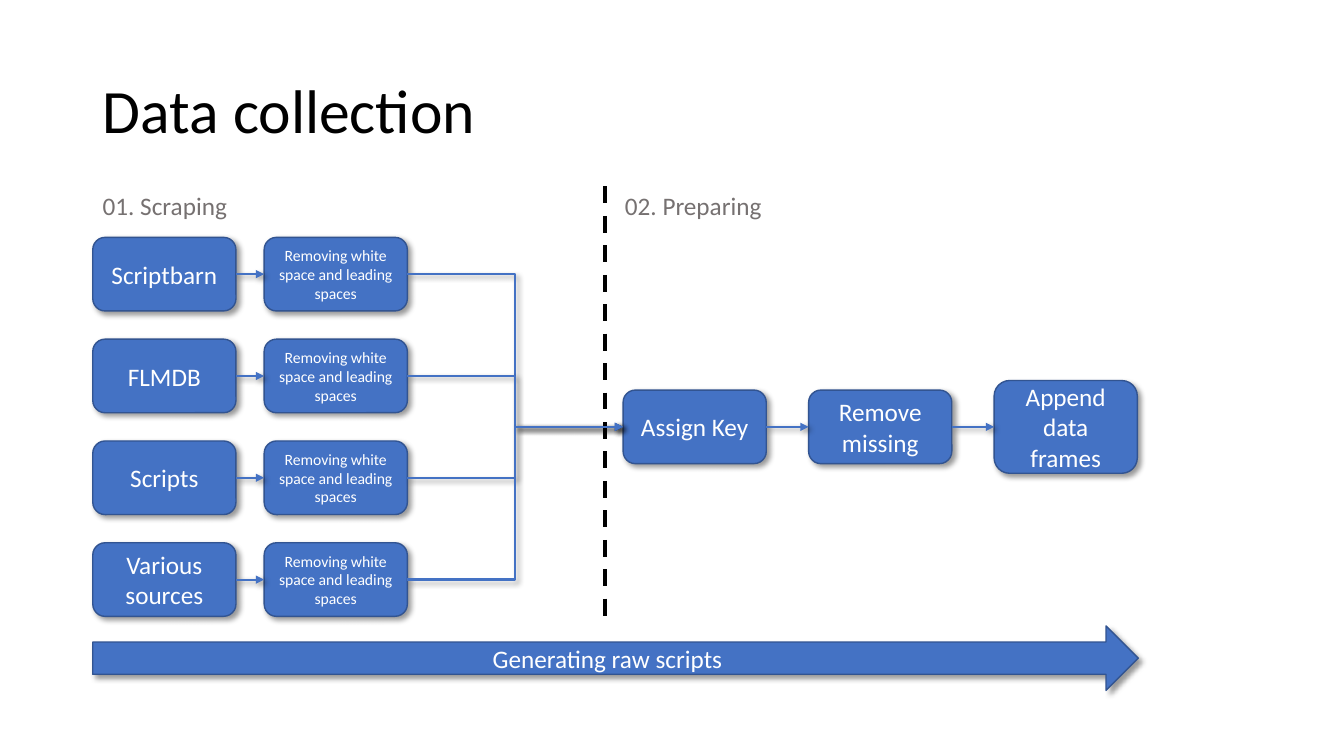
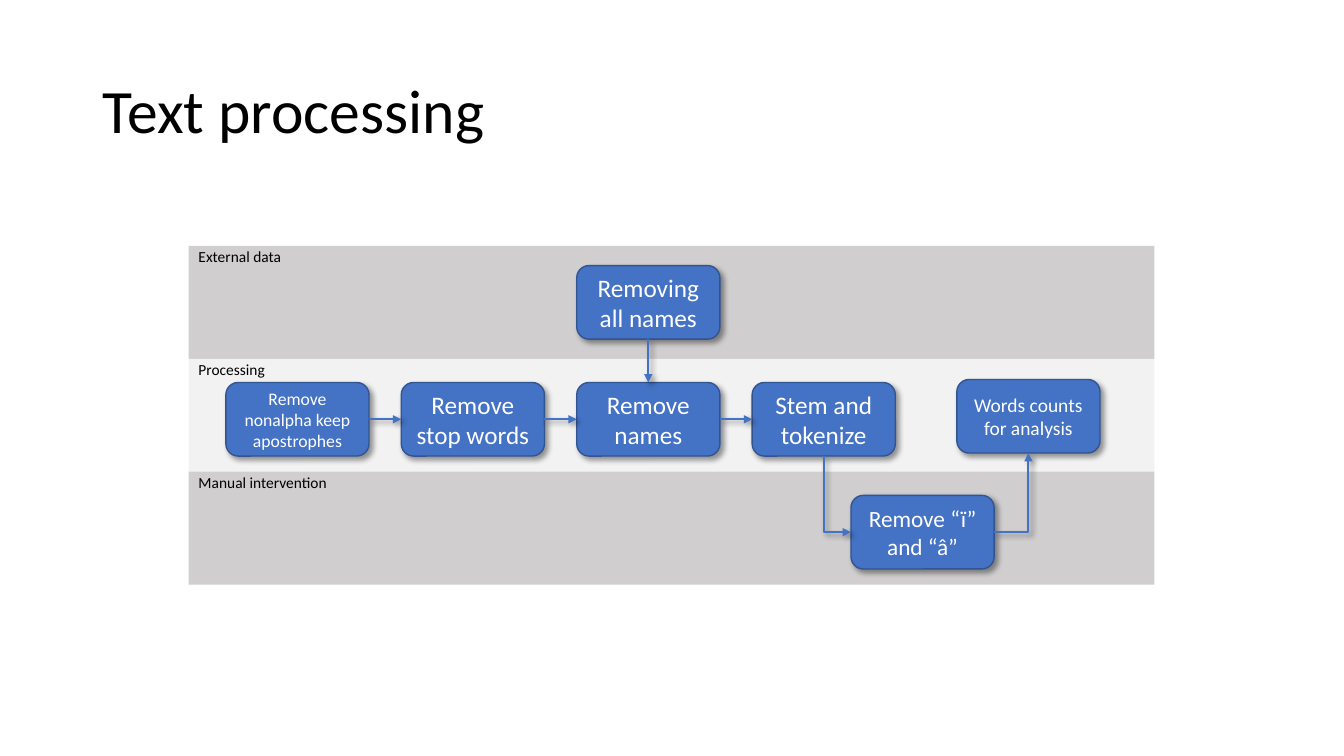
from lxml import etree
from pptx import Presentation, util as u
from pptx.dml.color import RGBColor
from pptx.enum import dml, shapes, text
from pptx.oxml.ns import qn

BLUE = RGBColor(0x44, 0x72, 0xC4)
EDGE = RGBColor(0x32, 0x54, 0x91)
BLACK = RGBColor(0, 0, 0)
WHITE = RGBColor(255, 255, 255)
GREY = RGBColor(0x76, 0x71, 0x71)
LANE_DARK = RGBColor(0xD0, 0xCE, 0xCE)
LANE_LIGHT = RGBColor(0xF2, 0xF2, 0xF2)
FONT = "Calibri"
LEFT, BOX_W, BOX_H = 0.92, 1.42, 0.73
TOP, LEFT_SIDE, BOTTOM, RIGHT_SIDE = range(4)
STRAIGHT = shapes.MSO_CONNECTOR.STRAIGHT
ELBOW = shapes.MSO_CONNECTOR.ELBOW


def effects(sp, shadow=True):
    """Give a shape the soft shadow, or an empty effect list."""
    spPr = sp._element.spPr
    for old in spPr.findall(qn("a:effectLst")):
        spPr.remove(old)
    lst = etree.SubElement(spPr, qn("a:effectLst"))
    if shadow:
        outer = etree.SubElement(lst, qn("a:outerShdw"), blurRad="50800", dist="38100",
                                 dir="2700000", algn="tl", rotWithShape="0")
        clr = etree.SubElement(outer, qn("a:prstClr"), val="black")
        etree.SubElement(clr, qn("a:alpha"), val="40000")


def write(sp, words, size, color, align=text.PP_ALIGN.LEFT):
    tf = sp.text_frame
    tf.word_wrap = True
    tf.text = words
    p = tf.paragraphs[0]
    p.alignment = align
    p.font.name, p.font.size, p.font.color.rgb = FONT, u.Pt(size), color
    return tf


def add_slide(prs, title):
    s = prs.slides.add_slide(prs.slide_layouts[5])
    sp = s.shapes.title
    sp.left, sp.top, sp.width, sp.height = map(u.Inches, (LEFT, 0.4, 11.5, 1.45))
    tf = write(sp, title, 44, BLACK)
    tf.vertical_anchor = text.MSO_ANCHOR.MIDDLE
    tf.paragraphs[0].line_spacing = 0.9
    return s


def block(s, kind, x, y, w, h, fill):
    sp = s.shapes.add_shape(kind, *map(u.Inches, (x, y, w, h)))
    sp.shadow.inherit = False
    sp.fill.solid()
    sp.fill.fore_color.rgb = fill
    sp.line.fill.background()
    return sp


def step(s, words, x, cy, size=18, w=BOX_W, h=BOX_H,
         kind=shapes.MSO_SHAPE.ROUNDED_RECTANGLE):
    """Blue process shape, centred vertically on cy."""
    sp = block(s, kind, x, cy - h / 2, w, h, BLUE)
    sp.line.color.rgb, sp.line.width = EDGE, u.Pt(1)
    effects(sp)
    tf = write(sp, words, size, WHITE, text.PP_ALIGN.CENTER)
    tf.vertical_anchor = text.MSO_ANCHOR.MIDDLE
    return sp


def label(s, words, x, y, w, h, size, color):
    sp = s.shapes.add_textbox(*map(u.Inches, (x, y, w, h)))
    write(sp, words, size, color).auto_size = text.MSO_AUTO_SIZE.SHAPE_TO_FIT_TEXT


def arrow(s, a, b, start=RIGHT_SIDE, end=LEFT_SIDE, kind=STRAIGHT):
    c = s.shapes.add_connector(kind, 0, 0, 0, 0)
    c.begin_connect(a, start)
    c.end_connect(b, end)
    c.line.color.rgb, c.line.width = BLUE, u.Pt(1.5)
    etree.SubElement(c.line._get_or_add_ln(), qn("a:tailEnd"), type="triangle")
    effects(c)
    return c


def corner_arrow(s, a, b, start, end):
    """Arrow with one bend; leaving from the bottom, it goes down and then right."""
    c = arrow(s, a, b, start, end, ELBOW)
    spPr = c._element.spPr
    spPr.find(qn("a:prstGeom")).set("prst", "bentConnector2")
    if start == BOTTOM:
        w, h = c.width, c.height
        c.left, c.top = c.left + (w - h) // 2, c.top + (h - w) // 2
        c.width, c.height = h, w
        xfrm = spPr.find(qn("a:xfrm"))
        xfrm.set("rot", "16200000")
        xfrm.set("flipH", "1")


def chain(s, steps):
    for a, b in zip(steps, steps[1:]):
        arrow(s, a, b)


def data_collection(prs):
    s = add_slide(prs, "Data collection")

    # Divider between the two phases
    c = s.shapes.add_connector(STRAIGHT, *map(u.Inches, (6, 1.85, 6, 6.21)))
    c.line.color.rgb, c.line.width = BLACK, u.Pt(3)
    c.line.dash_style = dml.MSO_LINE.DASH
    effects(c, shadow=False)
    for words, x in (("01. Scraping", LEFT), ("02. Preparing", 6.1)):
        label(s, words, x, 1.84, 1.71, 0.4, 18, GREY)

    # Preparing: three steps on the middle line of the sources
    row_y = [2.72 + 1.01 * i for i in range(4)]
    middle = (row_y[0] + row_y[-1]) / 2
    prepare = [step(s, words, 6.18 + 1.84 * i, middle, h=h) for i, (words, h) in enumerate(
        (("Assign Key", BOX_H), ("Remove missing", BOX_H), ("Append data frames", 0.92)))]
    chain(s, prepare)

    # Scraping: each source is cleaned, then joins the first step
    for words, y in zip(("Scriptbarn", "FLMDB", "Scripts", "Various sources"), row_y):
        source = step(s, words, LEFT, y)
        clean = step(s, "Removing white space and leading spaces", LEFT + 1.7, y, 11.2)
        arrow(s, source, clean)
        arrow(s, clean, prepare[0], kind=ELBOW)

    # Overall direction
    step(s, "Generating raw scripts", LEFT, 6.53, w=10.37, h=0.64,
         kind=shapes.MSO_SHAPE.RIGHT_ARROW)


def text_processing(prs):
    s = add_slide(prs, "Text processing")

    # Swim lanes
    lane_x, lane_y, lane_h = 1.87, 2.44, 1.12
    for i, (words, fill) in enumerate((("External data", LANE_DARK),
                                       ("Processing", LANE_LIGHT),
                                       ("Manual intervention", LANE_DARK))):
        y = lane_y + i * lane_h
        block(s, shapes.MSO_SHAPE.RECTANGLE, lane_x, y, 9.58, lane_h, fill)
        label(s, words, lane_x, y - 0.04, 1.75, 0.29, 11, BLACK)

    # Processing steps
    col_x = [2.24 + 1.74 * i for i in range(4)]
    process = [step(s, words, x, 4.16, size) for x, (words, size) in zip(col_x, (
        ("Remove nonalpha keep apostrophes", 12.6), ("Remove stop words", 18),
        ("Remove names", 18), ("Stem and tokenize", 18)))]
    chain(s, process)

    # Steps in the other lanes and the result
    names = step(s, "Removing all names", col_x[2], 3)
    manual = step(s, "Remove “ï” and “â”", 8.44, 5.28, 16.6)
    counts = step(s, "Words counts for analysis", 9.49, 4.13, 13.9)
    arrow(s, names, process[2], BOTTOM, TOP)
    corner_arrow(s, process[3], manual, BOTTOM, LEFT_SIDE)
    corner_arrow(s, manual, counts, RIGHT_SIDE, BOTTOM)


def main():
    prs = Presentation()
    prs.slide_width, prs.slide_height = u.Inches(13.33), u.Inches(7.5)
    data_collection(prs)
    text_processing(prs)
    prs.save("out.pptx")


if __name__ == "__main__":
    main()
